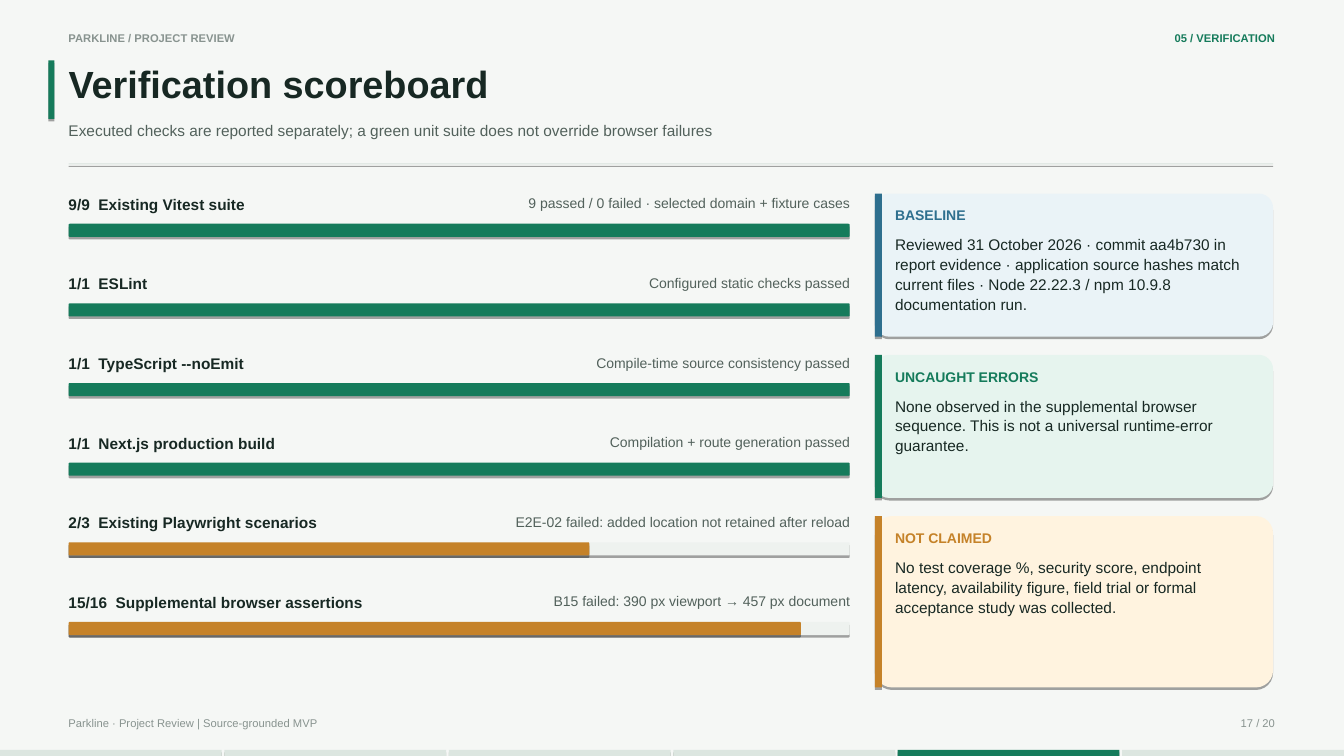
from dataclasses import dataclass

import pptx
import pptx.dml.color
import pptx.enum.shapes
import pptx.enum.text
import pptx.oxml
import pptx.oxml.ns
import pptx.shapes.autoshape
import pptx.slide
import pptx.util
from pptx.dml.color import RGBColor
from pptx.enum.shapes import MSO_SHAPE
from pptx.enum.text import PP_ALIGN
from pptx.util import Pt

BACKGROUND = RGBColor(0xF5, 0xF7, 0xF5)
INK = RGBColor(0x17, 0x28, 0x23)
BODY_GREY = RGBColor(0x52, 0x61, 0x5B)
MUTED = RGBColor(0x88, 0x93, 0x8F)
RULE = RGBColor(0xD9, 0xE2, 0xDD)
SEGMENT = RGBColor(0xDC, 0xE6, 0xE0)
TRACK = RGBColor(0xEE, 0xF2, 0xEF)
GREEN = RGBColor(0x15, 0x7B, 0x5B)
AMBER = RGBColor(0xC5, 0x82, 0x29)
BLUE = RGBColor(0x2E, 0x6F, 0x8E)
PALE_BLUE = RGBColor(0xEA, 0xF3, 0xF7)
PALE_GREEN = RGBColor(0xE6, 0xF4, 0xEE)
PALE_AMBER = RGBColor(0xFF, 0xF3, 0xDF)

FONT = "Arial"
SLIDE_WIDTH, SLIDE_HEIGHT = 960, 540
LEFT, CONTENT_TOP = 48.96, 138.24
SHADOW = (
    '<a:outerShdw {} blurRad="0" dist="23000" dir="5400000" rotWithShape="0">'
    '<a:srgbClr val="000000"><a:alpha val="35000"/></a:srgbClr></a:outerShdw>'
).format(pptx.oxml.ns.nsdecls("a"))


@dataclass(frozen=True)
class Box:
    left: float
    top: float
    width: float
    height: float

    def lengths(self) -> tuple[Pt, Pt, Pt, Pt]:
        return Pt(self.left), Pt(self.top), Pt(self.width), Pt(self.height)


@dataclass(frozen=True)
class Label:
    box: Box
    text: str
    size: float
    color: RGBColor
    bold: bool = False
    align: PP_ALIGN = PP_ALIGN.LEFT


@dataclass(frozen=True)
class Check:
    passed: int
    total: int
    name: str
    detail: str


@dataclass(frozen=True)
class Card:
    heading: str
    text: str
    accent: RGBColor
    fill: RGBColor
    height: float


PAGE_LABELS = [
    Label(Box(LEFT, 21.6, 288, 14.4), "PARKLINE / PROJECT REVIEW", 8, MUTED, True),
    Label(Box(676.8, 21.6, 234, 14.4), "05 / VERIFICATION", 8, GREEN, True, PP_ALIGN.RIGHT),
    Label(Box(LEFT, 85.68, 856.8, 23.04),
          "Executed checks are reported separately; a green unit suite does not override browser failures",
          11, BODY_GREY),
    Label(Box(LEFT, 511.2, 489.6, 14.4), "Parkline · Project Review | Source-grounded MVP", 8, MUTED),
    Label(Box(810, 511.2, 100.8, 14.4), "17 / 20", 8, MUTED, align=PP_ALIGN.RIGHT),
]
TITLE = Label(Box(LEFT, 41.04, 856.8, 44.64), "Verification scoreboard", 27, INK, True)

CHECKS = [
    Check(9, 9, "Existing Vitest suite", "9 passed / 0 failed · selected domain + fixture cases"),
    Check(1, 1, "ESLint", "Configured static checks passed"),
    Check(1, 1, "TypeScript --noEmit", "Compile-time source consistency passed"),
    Check(1, 1, "Next.js production build", "Compilation + route generation passed"),
    Check(2, 3, "Existing Playwright scenarios", "E2E-02 failed: added location not retained after reload"),
    Check(15, 16, "Supplemental browser assertions", "B15 failed: 390 px viewport → 457 px document"),
]
CHECK_PITCH, BAR_WIDTH, NAME_WIDTH = 56.88, 558, 251.1

CARDS = [
    Card("BASELINE",
         "Reviewed 31 October 2026 · commit aa4b730 in report evidence · application source hashes "
         "match current files · Node 22.22.3 / npm 10.9.8 documentation run.",
         BLUE, PALE_BLUE, 102.24),
    Card("UNCAUGHT ERRORS",
         "None observed in the supplemental browser sequence. This is not a universal "
         "runtime-error guarantee.",
         GREEN, PALE_GREEN, 102.24),
    Card("NOT CLAIMED",
         "No test coverage %, security score, endpoint latency, availability figure, field trial "
         "or formal acceptance study was collected.",
         AMBER, PALE_AMBER, 122.4),
]
CARD_LEFT, CARD_WIDTH, CARD_GAP = 624.96, 284.4, 12.96

SEGMENT_COUNT, CURRENT_SEGMENT = 6, 4
SEGMENT_GAP, SEGMENT_HEIGHT = 1.92, 4.32


def write_label(shape: pptx.shapes.autoshape.Shape, label: Label) -> None:
    frame = shape.text_frame
    frame.margin_left = frame.margin_top = frame.margin_right = frame.margin_bottom = 0
    frame.word_wrap = True
    frame.auto_size = pptx.enum.text.MSO_AUTO_SIZE.NONE
    frame.vertical_anchor = pptx.enum.text.MSO_ANCHOR.TOP
    frame.text = label.text
    paragraph = frame.paragraphs[0]
    paragraph.alignment = label.align
    paragraph.line_spacing = 1.08
    paragraph.space_before = Pt(0)
    paragraph.font.name = FONT
    paragraph.font.size = Pt(label.size)
    paragraph.font.bold = label.bold
    paragraph.font.color.rgb = label.color


def add_label(slide: pptx.slide.Slide, label: Label) -> None:
    write_label(slide.shapes.add_textbox(*label.box.lengths()), label)


def add_block(slide: pptx.slide.Slide, box: Box, color: RGBColor, rounded: bool = False) -> None:
    preset = MSO_SHAPE.ROUNDED_RECTANGLE if rounded else MSO_SHAPE.RECTANGLE
    shape = slide.shapes.add_shape(preset, *box.lengths())
    if rounded:
        shape.adjustments[0] = 0.1
    shape.fill.solid()
    shape.fill.fore_color.rgb = color
    shape.line.fill.background()
    # Replace the theme shadow with a hard one below the shape
    shape.shadow.inherit = False
    effects = shape.element.spPr.find(pptx.oxml.ns.qn("a:effectLst"))
    effects.append(pptx.oxml.parse_xml(SHADOW))


def add_check(slide: pptx.slide.Slide, check: Check, top: float) -> None:
    name = f"{check.passed}/{check.total}  {check.name}"
    add_label(slide, Label(Box(LEFT, top, NAME_WIDTH, 18.72), name, 11, INK, True))
    detail_box = Box(LEFT + NAME_WIDTH, top, BAR_WIDTH - NAME_WIDTH, 18.72)
    add_label(slide, Label(detail_box, check.detail, 10, BODY_GREY, align=PP_ALIGN.RIGHT))
    complete = check.passed == check.total
    if not complete:
        add_block(slide, Box(LEFT, top + 21.6, BAR_WIDTH, 9.36), TRACK, True)
    filled = BAR_WIDTH * check.passed / check.total
    add_block(slide, Box(LEFT, top + 21.6, filled, 9.36), GREEN if complete else AMBER, True)


def add_card(slide: pptx.slide.Slide, card: Card, top: float) -> None:
    add_block(slide, Box(CARD_LEFT, top, CARD_WIDTH, card.height), card.fill, True)
    add_block(slide, Box(CARD_LEFT, top, 5.04, card.height), card.accent)
    text_left = CARD_LEFT + 14.4
    add_label(slide, Label(Box(text_left, top + 8.64, 259.2, 18), card.heading, 10, card.accent, True))
    add_label(slide, Label(Box(text_left, top + 28.8, 259.2, card.height - 36), card.text, 11, INK))


def main() -> None:
    presentation = pptx.Presentation()
    presentation.slide_width, presentation.slide_height = Pt(SLIDE_WIDTH), Pt(SLIDE_HEIGHT)
    slide = presentation.slides.add_slide(presentation.slide_layouts.get_by_name("Title Only"))
    slide.background.fill.solid()
    slide.background.fill.fore_color.rgb = BACKGROUND

    # Header and footer
    title = slide.shapes.title
    title.left, title.top, title.width, title.height = TITLE.box.lengths()
    write_label(title, TITLE)
    for label in PAGE_LABELS:
        add_label(slide, label)
    add_block(slide, Box(34.56, 43.2, 4.32, 41.76), GREEN)
    add_block(slide, Box(LEFT, 116.64, 860.4, 0.72), RULE)

    # Section progress strip
    segment_width = (SLIDE_WIDTH - SEGMENT_GAP * (SEGMENT_COUNT - 1)) / SEGMENT_COUNT
    for index in range(SEGMENT_COUNT):
        box = Box(index * (segment_width + SEGMENT_GAP), SLIDE_HEIGHT - SEGMENT_HEIGHT,
                  segment_width, SEGMENT_HEIGHT)
        add_block(slide, box, GREEN if index == CURRENT_SEGMENT else SEGMENT)

    # Scoreboard rows
    for index, check in enumerate(CHECKS):
        add_check(slide, check, CONTENT_TOP + index * CHECK_PITCH)

    # Side cards
    top = CONTENT_TOP
    for card in CARDS:
        add_card(slide, card, top)
        top += card.height + CARD_GAP

    presentation.save("out.pptx")


if __name__ == "__main__":
    main()
